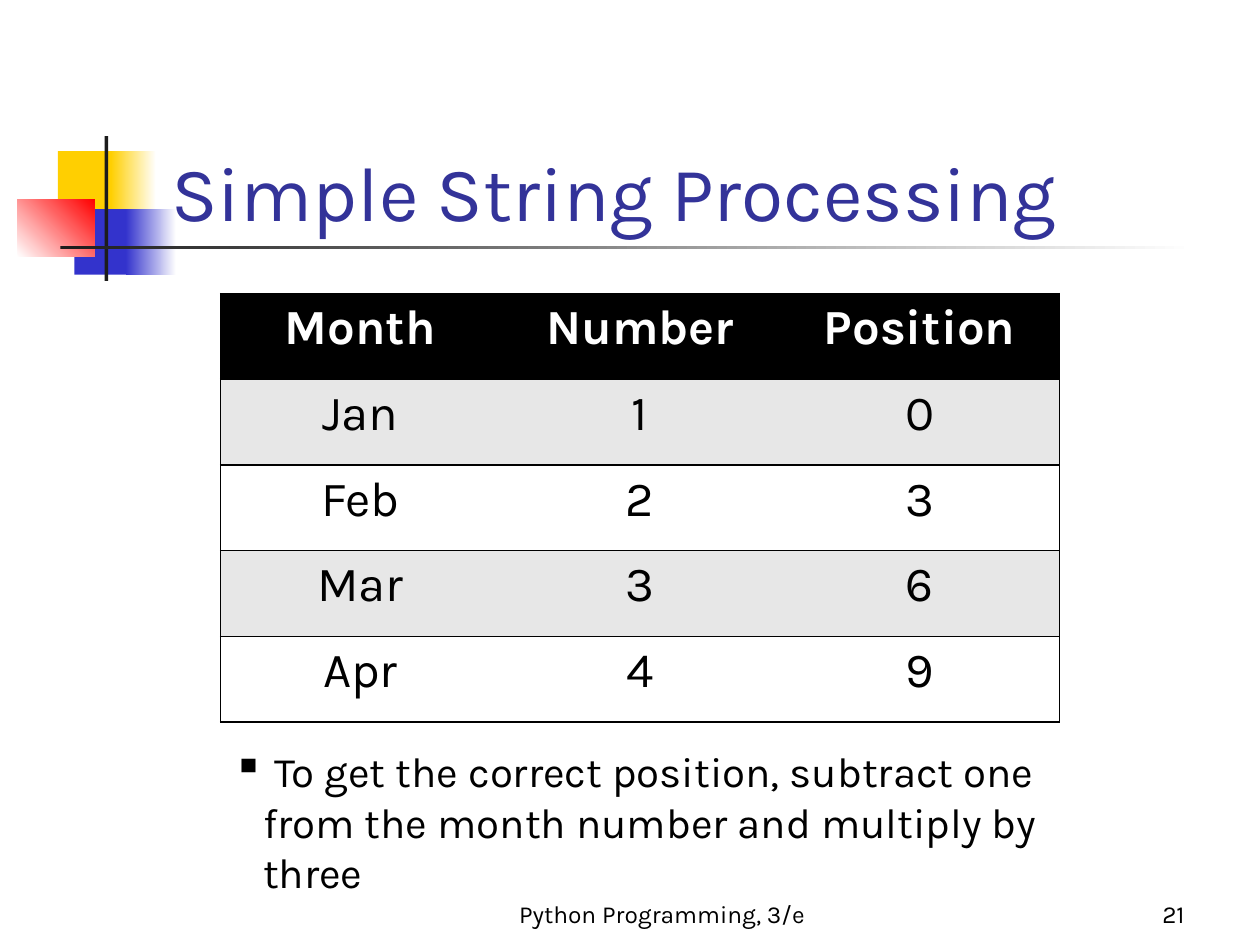
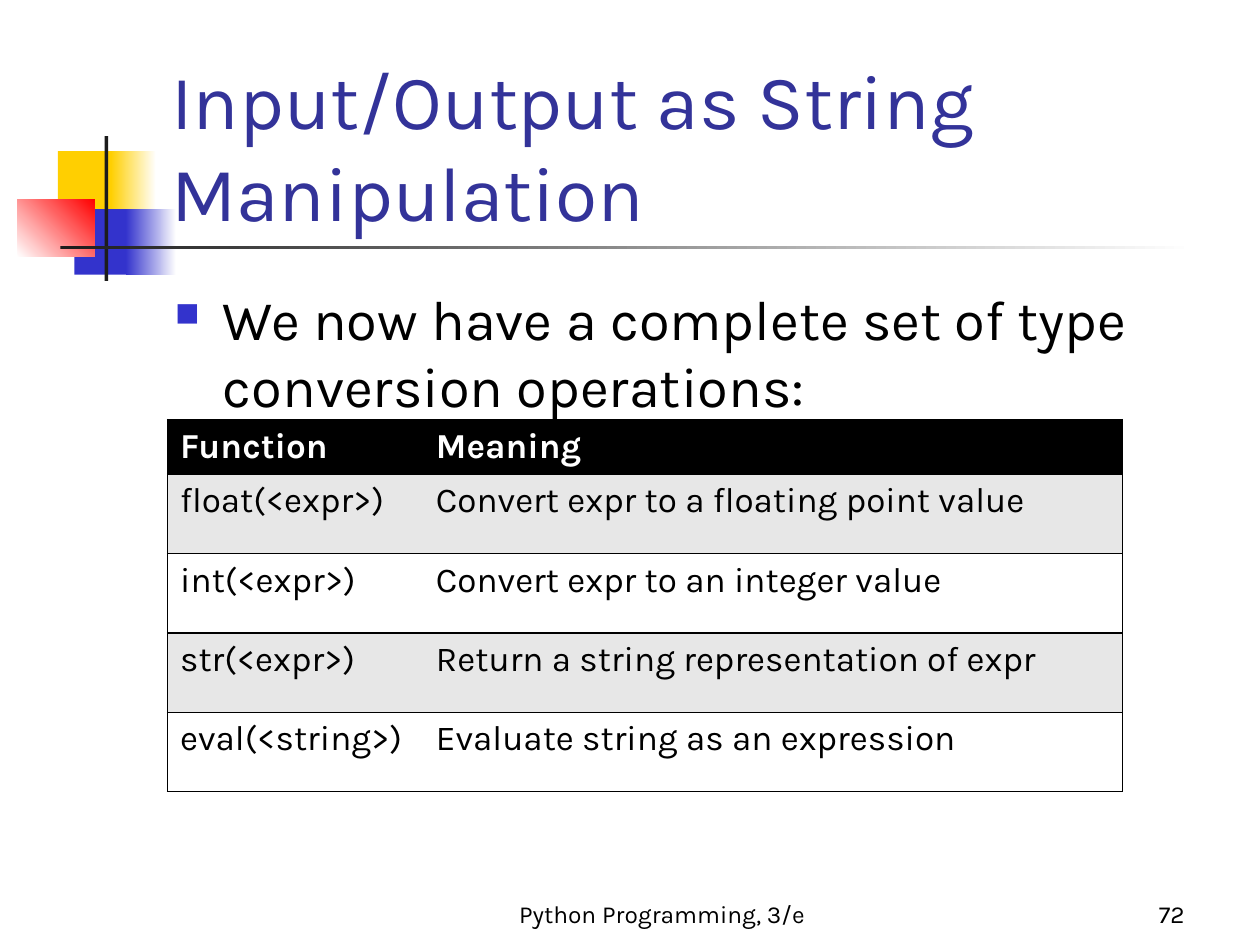
"""Build two slides on string processing in Python."""
from lxml import etree
from pptx import Presentation
from pptx.dml.color import RGBColor
from pptx.enum.shapes import MSO_SHAPE
from pptx.enum.text import MSO_ANCHOR, PP_ALIGN
from pptx.oxml.ns import qn
from pptx.util import Inches, Pt

RECT = MSO_SHAPE.RECTANGLE
TOP, BOTTOM = MSO_ANCHOR.TOP, MSO_ANCHOR.BOTTOM
LEFT, CENTER, RIGHT = PP_ALIGN.LEFT, PP_ALIGN.CENTER, PP_ALIGN.RIGHT
FONT = "Karla"
BLACK, WHITE, GRAY, INK = "000000", "FFFFFF", "E7E7E7", "1C1C1C"
GOLD, BLUE, RED, NAVY = "FFCF01", "3333CC", "FF0000", "333399"

FOOTER = "Python Programming, 3/e"
DECOR = [
    ((0.46, 1.2, 0.48, 0.52), [GOLD], 0),
    ((0.88, 1.2, 0.36, 0.52), [GOLD, WHITE], 0),
    ((0.59, 1.66, 0.46, 0.52), [BLUE], 0),
    ((1, 1.66, 0.4, 0.52), [BLUE, WHITE], 0),
    ((0.14, 1.58, 0.61, 0.46), [WHITE, RED], 45),
    ((0.83, 1.08, 0.03, 1.15), [INK], 0),
    ((0.48, 1.95, 9, 0.03), [INK, WHITE], 0),
]
SLIDES = [
    {
        "title": "Simple String Processing",
        "number": "21",
        "table": {
            "at": (1.75, 2.33), "cols": [2.22] * 3, "rows": [0.68] * 5,
            "size": 28, "align": CENTER,
            "data": [
                ("Month", "Number", "Position"),
                ("Jan", "1", "0"),
                ("Feb", "2", "3"),
                ("Mar", "3", "6"),
                ("Apr", "4", "9"),
            ],
        },
        "point": {
            "text": " To get the correct position, subtract one from the "
                    "month number and multiply by three",
            "at": (1.75, 5.87, 6.83, 1.3), "size": 24, "before": 0,
            "mark": ("▪", BLACK, 100, 0.24),
        },
    },
    {
        "title": "Input/Output as String Manipulation",
        "number": "72",
        "table": {
            "at": (1.33, 3.33), "cols": [2.03, 5.55],
            "rows": [0.43] + [0.63] * 4, "size": 20, "align": LEFT,
            "data": [
                ("Function", "Meaning"),
                ("float(<expr>)", "Convert expr to a floating point value"),
                ("int(<expr>)", "Convert expr to an integer value"),
                ("str(<expr>)", "Return a string representation of expr"),
                ("eval(<string>)", "Evaluate string as an expression"),
            ],
        },
        "point": {
            "text": "We now have a complete set of type conversion operations:",
            "at": (1.29, 2.21, 8.5, 4.5), "size": 32, "before": 6.4,
            "mark": ("■", BLUE, 60, 0.38),
        },
    },
]


def rgb(code):
    return RGBColor.from_string(code)


def style(para, size, color, align=LEFT, bold=False):
    para.alignment = align
    font = para.font
    font.name, font.size, font.bold = FONT, Pt(size), bold
    font.color.rgb = rgb(color)


def add_text(slide, text, at, size, color=BLACK, align=LEFT, anchor=BOTTOM):
    frame = slide.shapes.add_textbox(*map(Inches, at)).text_frame
    frame.word_wrap = True
    frame.vertical_anchor = anchor
    para = frame.paragraphs[0]
    para.text = text
    style(para, size, color, align)
    return para


def add_decor(slide):
    for at, colors, angle in DECOR:
        shape = slide.shapes.add_shape(RECT, *map(Inches, at))
        shape.shadow.inherit = False
        shape.line.fill.background()
        fill = shape.fill
        if len(colors) == 1:
            fill.solid()
            fill.fore_color.rgb = rgb(colors[0])
        else:
            fill.gradient()
            fill.gradient_angle = angle
            for stop, color in zip(fill.gradient_stops, colors):
                stop.color.rgb = rgb(color)


def add_point(slide, point):
    para = add_text(slide, point["text"], point["at"], point["size"], anchor=TOP)
    para.space_before = Pt(point["before"])
    char, color, scale, indent = point["mark"]
    props = para._p.get_or_add_pPr()
    props.set("marL", str(Inches(indent)))
    props.set("indent", str(-Inches(indent)))
    tint = etree.SubElement(props, qn("a:buClr"))
    etree.SubElement(tint, qn("a:srgbClr"), val=color)
    etree.SubElement(props, qn("a:buSzPct"), val=str(scale * 1000))
    etree.SubElement(props, qn("a:buChar"), char=char)
    props.append(props.find(qn("a:defRPr")))


def set_border(cell, sides):
    props = cell._tc.get_or_add_tcPr()
    for side in "LRTB":
        line = etree.SubElement(props, qn("a:ln" + side), w=str(Pt(1)))
        if side in sides:
            fill = etree.SubElement(line, qn("a:solidFill"))
            etree.SubElement(fill, qn("a:srgbClr"), val=BLACK)
        else:
            etree.SubElement(line, qn("a:noFill"))


def add_table(slide, spec):
    data, cols, rows = spec["data"], spec["cols"], spec["rows"]
    box = (*spec["at"], sum(cols), sum(rows))
    table = slide.shapes.add_table(len(rows), len(cols), *map(Inches, box)).table
    for col, width in zip(table.columns, cols):
        col.width = Inches(width)
    for row, height in zip(table.rows, rows):
        row.height = Inches(height)
    for r, line in enumerate(data):
        head = r == 0
        back = BLACK if head else GRAY if r % 2 else WHITE
        for c, text in enumerate(line):
            cell = table.cell(r, c)
            sides = "TB" + "L" * (c == 0) + "R" * (c == len(cols) - 1)
            set_border(cell, sides)
            cell.fill.solid()
            cell.fill.fore_color.rgb = rgb(back)
            para = cell.text_frame.paragraphs[0]
            para.text = text
            para.space_before = Pt(spec["size"] * 0.2)
            style(para, spec["size"], WHITE if head else BLACK, spec["align"], head)


def build():
    deck = Presentation()
    deck.slide_width, deck.slide_height = Inches(10), Inches(7.5)
    for page in SLIDES:
        slide = deck.slides.add_slide(deck.slide_layouts[6])
        add_decor(slide)
        add_text(slide, FOOTER, (3.67, 6.92, 3.17, 0.5), 14, align=CENTER)
        add_text(slide, page["number"], (7.42, 6.92, 2.08, 0.5), 14, align=RIGHT)
        add_text(slide, page["title"], (1.26, 0.68, 8.52, 1.25), 44, NAVY)
        add_point(slide, page["point"])
        add_table(slide, page["table"])
    deck.save("out.pptx")


build()
